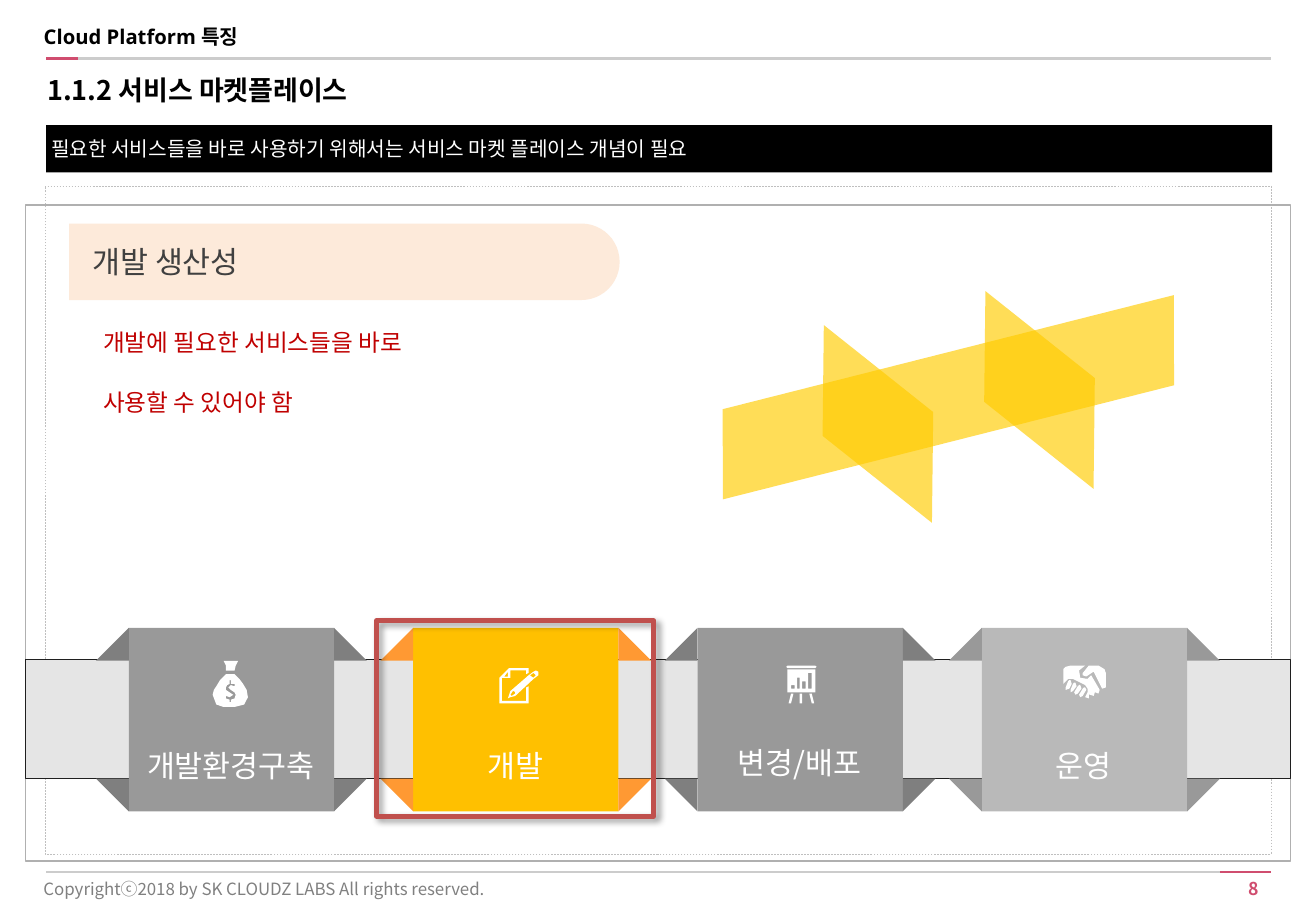
"""Build the service marketplace slide with its four-step ribbon."""
from lxml.etree import SubElement
from pptx import Presentation
from pptx.dml.color import RGBColor
from pptx.enum.dml import MSO_LINE
from pptx.enum.shapes import MSO_CONNECTOR, MSO_SHAPE
from pptx.enum.text import MSO_ANCHOR, PP_ALIGN
from pptx.oxml import parse_xml
from pptx.oxml.ns import nsdecls, qn
from pptx.util import Inches, Pt

BLACK = RGBColor(0x00, 0x00, 0x00)
WHITE = RGBColor(0xFF, 0xFF, 0xFF)
CHARCOAL = RGBColor(0x40, 0x40, 0x40)
INK = RGBColor(0x1F, 0x1F, 0x1F)
DARK_GRAY = RGBColor(0x7F, 0x7F, 0x7F)
TEXT_GRAY = RGBColor(0x80, 0x80, 0x80)
GRAY = RGBColor(0x99, 0x99, 0x99)
FRAME_GRAY = RGBColor(0xB0, 0xB0, 0xB0)
LIGHT_GRAY = RGBColor(0xB9, 0xB9, 0xB9)
DASH_GRAY = RGBColor(0xBF, 0xBF, 0xBF)
RULE_GRAY = RGBColor(0xCC, 0xCC, 0xCC)
BAND_GRAY = RGBColor(0xE5, 0xE5, 0xE5)
PINK = RGBColor(0xD0, 0x4D, 0x6F)
AMBER = RGBColor(0xFF, 0xC0, 0x00)
ORANGE = RGBColor(0xFF, 0x99, 0x33)
YELLOW = RGBColor(0xFF, 0xCC, 0x00)
PEACH = RGBColor(0xFD, 0xEA, 0xDA)
RED = RGBColor(0xC0, 0x00, 0x00)
BRICK = RGBColor(0xC0, 0x50, 0x4D)

SANS, KR, JP = "Noto Sans", "Noto Sans CJK KR", "Noto Sans CJK JP"
LEFT, RIGHT = 0.38, 10.46
OUTER_LEFT, OUTER_WIDTH = 0.21, 10.41
HEADER_RULE, FOOTER_RULE = 0.48, 7.18
CARD_LEFT, CARD_TOP, CARD_WIDTH, CARD_HEIGHT = 1.06, 5.17, 1.69, 1.51
CARD_PITCH, FLAP = 2.34, 0.27

MONEY_BAG = (
    "9,0 11,4 11,8 18,8 19,4 21,0 / "
    "11,11 6,16 3,21 1,24 0,28 3,36 9,38 18,38 26,36 29,30 28,24 25,19 22,15 18,11 / "
    "14,16 15,16 15,19 18,19 18,21 15,20 13,22 15,24 18,26 19,28 18,31 15,32 15,34 "
    "14,34 14,32 11,31 11,29 14,30 17,28 14,26 11,24 11,22 12,20 14,19")
PENCIL_NOTE = (
    "8,0 0,8 0,29 24,29 24,15 22,16 22,27 2,27 2,8 9,8 9,2 22,2 22,5 24,4 24,0 / "
    "30,2 28,3 24,6 9,19 7,25 9,24 13,23 28,9 32,6 32,3 / 7,3 7,7 4,7 / "
    "28,4 30,6 28,8 25,6 / 12,19 13,20 13,21 10,23 9,22 11,19")
CHART_EASEL = (
    "1,0 0,1 1,2 24,2 25,1 24,0 / 1,3 1,22 24,22 24,3 / 18,6 21,6 21,19 18,19 / "
    "9,10 11,10 11,19 9,19 / 13,13 16,13 16,19 13,19 / 4,16 7,16 7,19 4,19 / "
    "4,23 2,31 4,31 6,23 / 11,23 11,31 13,31 13,23 / 19,23 21,31 23,31 21,23")
HANDSHAKE = (
    "6,0 2,1 0,3 0,15 2,13 4,11 8,11 18,16 20,19 20,22 18,26 21,27 21,24 22,24 25,25 "
    "26,22 29,23 30,20 23,8 20,11 14,10 13,4 18,0 / "
    "21,0 17,5 16,6 16,8 19,9 25,5 32,19 35,18 35,6 34,3 29,0 / "
    "5,12 4,13 2,18 2,20 5,19 7,15 6,12 / 9,14 8,15 6,20 6,22 8,21 11,17 10,14 / "
    "13,16 12,17 9,22 10,24 12,23 15,19 14,16 / 17,18 16,19 13,24 14,26 16,25 19,20 18,18")

deck = Presentation()
deck.slide_width, deck.slide_height = Inches(10.83), Inches(7.5)
page = deck.slides.add_slide(deck.slide_layouts[6])


def paint(shape, fill=None, line=None, width=1):
    """Set the fill and outline of a shape and drop its shadow."""
    shape.shadow.inherit = False
    for part, color in ((shape.fill, fill), (shape.line.fill, line)):
        if color is None:
            part.background()
        else:
            part.solid()
            part.fore_color.rgb = color
    if line is not None:
        shape.line.width = Pt(width)
    return shape


def write(box, lines, size, face, color, bold=False, margins=(0, 0, 0, 0),
          anchor=MSO_ANCHOR.MIDDLE, **layout):
    """Fill a box with paragraphs of one style."""
    frame = box.text_frame
    frame.word_wrap, frame.vertical_anchor = True, anchor
    for side, margin in zip(("left", "top", "right", "bottom"), margins):
        setattr(frame, f"margin_{side}", Inches(margin))
    for index, line in enumerate(lines):
        para = frame.add_paragraph() if index else frame.paragraphs[0]
        for name, value in ({"alignment": PP_ALIGN.LEFT} | layout).items():
            setattr(para, name, value)
        if index:
            para.space_before = Pt(19)
        span = para.add_run()
        span.text = line
        for name, value in {"size": Pt(size), "name": face, "bold": bold}.items():
            setattr(span.font, name, value)
        span.font.color.rgb = color
        SubElement(span.font._element, qn("a:ea"), typeface=KR if face == SANS else face)


shapes = page.shapes
content = paint(shapes.add_shape(MSO_SHAPE.RECTANGLE, *map(Inches, (0.37, 1.53, 10.09, 5.5))),
                line=DASH_GRAY, width=0.25)
content.line.dash_style = MSO_LINE.DASH

for start, end, height, color in (
        (LEFT, RIGHT, HEADER_RULE, RULE_GRAY), (LEFT, 0.64, HEADER_RULE, PINK),
        (LEFT, RIGHT, FOOTER_RULE, RULE_GRAY), (10.04, RIGHT, FOOTER_RULE, PINK)):
    rule = shapes.add_connector(MSO_CONNECTOR.STRAIGHT, *map(Inches, (start, height, end, height)))
    rule.line.color.rgb, rule.line.width = color, Pt(1.5)
    SubElement(rule._element.spPr, qn("a:effectLst"))

message = paint(shapes.add_shape(MSO_SHAPE.RECTANGLE, *map(Inches, (LEFT, 1.03, 10.09, 0.39))), BLACK)
write(message, ["필요한 서비스들을 바로 사용하기 위해서는 서비스 마켓 플레이스 개념이 필요"],
      12, KR, WHITE, margins=(0.04, 0, 0, 0))

for frame, lines, style in (
        ((0.27, 0.2, 5.97, 0.31), ["Cloud Platform 특징"],
         dict(size=12, face=SANS, color=BLACK, bold=True, margins=(0.09, 0, 0, 0),
              anchor=MSO_ANCHOR.TOP)),
        ((0.39, 0.52, 10.07, 0.43), ["1.1.2 서비스 마켓플레이스"],
         dict(size=16, face=KR, color=BLACK, bold=True, margins=(0, 0.05, 0, 0.05))),
        ((0.75, 2.65, 5.2, 0.89), ["개발에 필요한 서비스들을 바로", "사용할 수 있어야 함"],
         dict(size=14, face=SANS, color=RED, margins=(0.1, 0.05, 0.1, 0.05),
              anchor=MSO_ANCHOR.TOP)),
        ((0.26, 7.15, 5.7, 0.34), ["Copyrightⓒ2018 by SK CLOUDZ LABS All rights reserved."],
         dict(size=10, face=JP, color=TEXT_GRAY, margins=(0.1, 0.05, 0.1, 0.05))),
        ((9.79, FOOTER_RULE, 0.57, 0.28), ["8"],
         dict(size=10.5, face=JP, color=PINK, bold=True, margins=(0.1, 0.05, 0, 0.05),
              anchor=MSO_ANCHOR.TOP, alignment=PP_ALIGN.RIGHT))):
    write(shapes.add_textbox(*map(Inches, frame)), lines, **style)

for top, height, fill, line in ((1.69, 5.4, None, FRAME_GRAY), (5.43, 0.98, BAND_GRAY, INK)):
    paint(shapes.add_shape(MSO_SHAPE.RECTANGLE,
                           *map(Inches, (OUTER_LEFT, top, OUTER_WIDTH, height))), fill, line)

card_bottom = CARD_TOP + CARD_HEIGHT
for column, (label, fill, flap_fill, icon, icon_left, icon_top, label_top) in enumerate((
        ("개발환경구축", GRAY, DARK_GRAY, MONEY_BAG, 1.75, 5.44, 6.15),
        ("개발", AMBER, ORANGE, PENCIL_NOTE, 4.11, 5.5, 6.15),
        ("변경/배포", GRAY, DARK_GRAY, CHART_EASEL, 6.47, 5.48, 6.13),
        ("운영", LIGHT_GRAY, GRAY, HANDSHAKE, 8.75, 5.48, 6.15))):
    left = CARD_LEFT + column * CARD_PITCH
    paint(shapes.add_shape(MSO_SHAPE.RECTANGLE,
                           *map(Inches, (left, CARD_TOP, CARD_WIDTH, CARD_HEIGHT))), fill)
    for edge, tip in ((left, left - FLAP), (left + CARD_WIDTH, left + CARD_WIDTH + FLAP)):
        for outer, inner in ((CARD_TOP, CARD_TOP + FLAP), (card_bottom, card_bottom - FLAP)):
            flap = shapes.build_freeform(Inches(edge), Inches(outer))
            flap.add_line_segments([(Inches(edge), Inches(inner)), (Inches(tip), Inches(inner))])
            paint(flap.convert_to_shape(), flap_fill)
    contours = [[tuple(map(int, point.split(","))) for point in contour.split()]
                for contour in icon.split("/")]
    outline = shapes.build_freeform(*contours[0][0], scale=Inches(0.01))
    for index, contour in enumerate(contours):
        if index:
            outline.move_to(*contour[0])
        outline.add_line_segments(contour[1:])
    paint(outline.convert_to_shape(Inches(icon_left), Inches(icon_top)), WHITE)
    caption = shapes.add_textbox(*map(Inches, (left + 0.1, label_top, CARD_WIDTH - 0.21, 0.27)))
    write(caption, [label], 18, KR, WHITE, alignment=PP_ALIGN.CENTER, line_spacing=1.1)

for frame, angle, slant, flipped in (
        ((6.37, 3.13, 1.71, 0.72), 38.5, 0.777, True),
        ((5.8, 2.91, 4.01, 0.72), 345.8, 0.25, False),
        ((7.7, 2.85, 1.71, 0.72), 38.5, 0.777, True)):
    strip = paint(shapes.add_shape(MSO_SHAPE.PARALLELOGRAM, *map(Inches, frame)), YELLOW)
    strip.rotation, strip.adjustments[0] = angle, slant
    if flipped:
        strip._element.spPr.xfrm.set("flipH", "1")
    SubElement(strip._element.spPr.find(".//" + qn("a:srgbClr")), qn("a:alpha"), val="66000")

heading = paint(shapes.add_shape(MSO_SHAPE.ROUND_2_SAME_RECTANGLE,
                                 *map(Inches, (2.52, -0.11, 0.63, 4.53))), PEACH)
heading.rotation = 90
heading.adjustments[0], heading.adjustments[1] = 0.5, 0
heading._element.spPr.xfrm.set("flipH", "1")
write(heading, ["개발 생산성"], 18, SANS, CHARCOAL)
heading.text_frame._txBody.bodyPr.set("vert", "vert270")
heading.text_frame.paragraphs[0]._p.get_or_add_pPr().set("marL", str(Inches(0.19)))

highlight = paint(shapes.add_shape(MSO_SHAPE.RECTANGLE, *map(Inches, (3.1, 5.11, 2.28, 1.61))),
                  line=BRICK, width=3)
highlight._element.spPr.find(qn("a:effectLst")).append(parse_xml(
    f'<a:outerShdw {nsdecls("a")} blurRad="{Pt(4)}" dist="{Pt(3)}" dir="2700000" algn="tl" '
    'rotWithShape="0"><a:srgbClr val="000000"><a:alpha val="40000"/></a:srgbClr></a:outerShdw>'))

deck.save("out.pptx")
